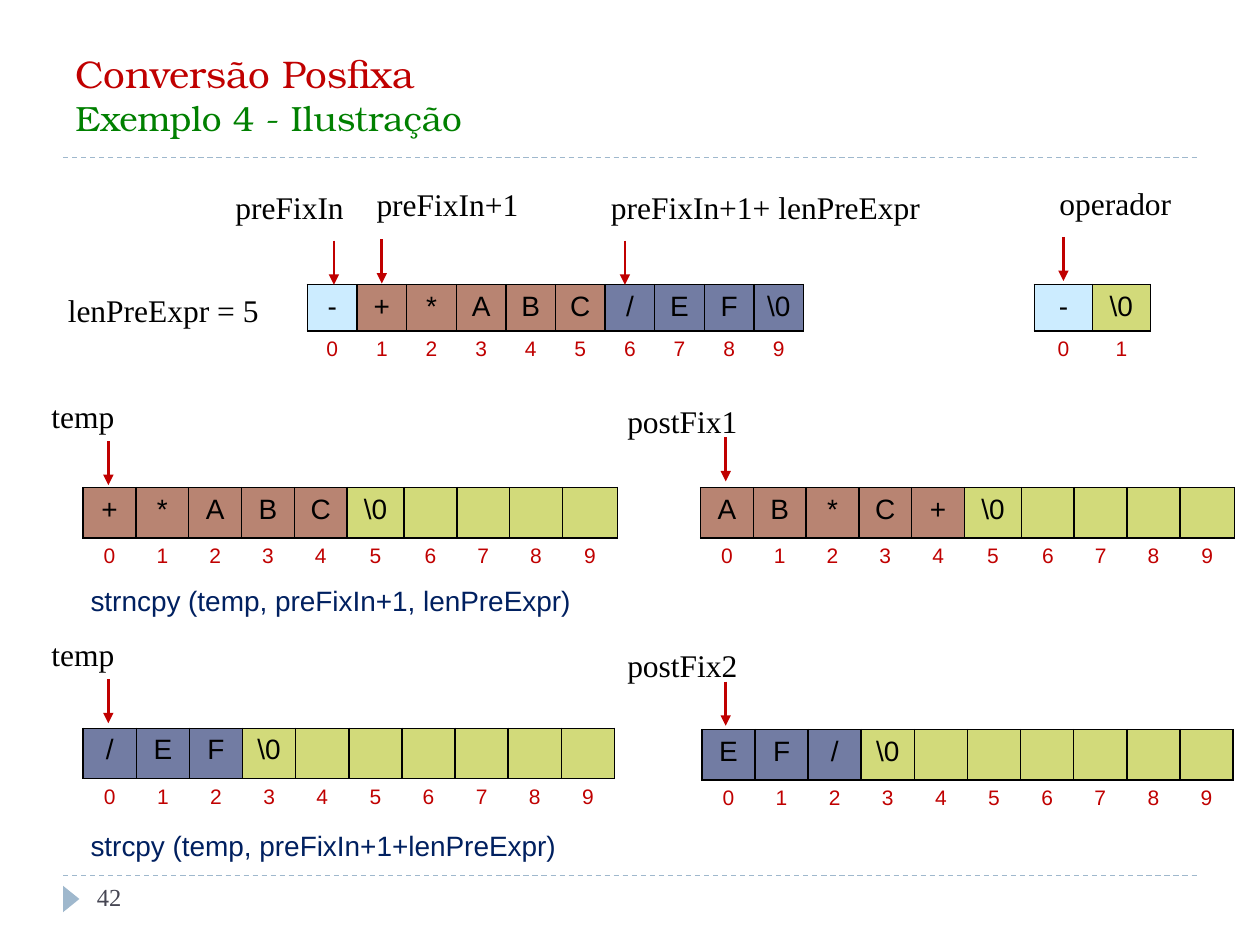
from dataclasses import dataclass
from typing import Any, NamedTuple

from lxml.etree import SubElement
from pptx import Presentation
from pptx.dml.color import RGBColor
from pptx.enum.dml import MSO_LINE_DASH_STYLE as Dash
from pptx.enum.shapes import MSO_CONNECTOR as Connector, MSO_SHAPE as Shape
from pptx.enum.text import MSO_ANCHOR as Anchor, PP_ALIGN as Align
from pptx.oxml import parse_xml
from pptx.oxml.ns import nsdecls, qn
from pptx.util import Inches, Pt

COLORS = {
    "black": "000000", "white": "FFFFFF", "red": "C00000", "green": "008000",
    "navy": "002060", "gray": "464653", "steel": "9FB8CD", "sky": "CCECFF",
    "clay": "B88472", "slate": "727CA3", "lime": "D2DA7A",
}
SERIF, SANS, TITLE = "Times New Roman", "Arial", "TeX Gyre Bonum"
WIDTH, HEIGHT = Inches(10), Inches(7.5)
GRID_COLUMNS, GRID_ROWS = 100, 75
ARROW_ROWS = 3.5
EVEN = (1,) * 10
STRETCHED = (1, 1, 1, 1, 1, 1.08, 1, 1, 1, 1.04)


class Label(NamedTuple):
    text: str
    column: float
    row: float
    columns: float
    rows: float = 4
    size: int = 18
    font: str = SERIF
    color: str = "black"


class Arrow(NamedTuple):
    column: float
    row: float


class Rule(NamedTuple):
    row: float


class Run(NamedTuple):
    color: str
    symbols: str
    blanks: int = 0


@dataclass(frozen=True)
class Array:
    column: float
    row: float
    columns: float
    rows: tuple[float, float]
    weights: tuple[float, ...]
    runs: tuple[Run, ...]


RULES = (Rule(69.5), Rule(12.5))
ARRAYS = (
    Array(24.4, 22.6, 39.4, (3.5, 2.8), EVEN,
          (Run("sky", "-"), Run("clay", "+ * A B C"), Run("slate", r"/ E F \0"))),
    Array(82.1, 22.6, 9.2, (3.6, 2.8), (1, 1),
          (Run("sky", "-"), Run("lime", r"\0"))),
    Array(6.6, 38.7, 42.4, (4, 3), STRETCHED,
          (Run("clay", "+ * A B C"), Run("lime", r"\0", 4))),
    Array(55.6, 38.7, 42.4, (4, 3), STRETCHED,
          (Run("clay", "A B * C +"), Run("lime", r"\0", 4))),
    Array(6.6, 57.8, 42.2, (4, 2.8), EVEN,
          (Run("slate", "/ E F"), Run("lime", r"\0", 6))),
    Array(55.7, 57.9, 42.2, (4, 2.8), EVEN,
          (Run("slate", "E F /"), Run("lime", r"\0", 6))),
)
LABELS = (
    Label("preFixIn", 17.7, 14.4, 10.7),
    Label("preFixIn+1", 28.9, 14.2, 13.4),
    Label("preFixIn+1+ lenPreExpr", 47.5, 14.4, 26.8),
    Label("operador", 83.1, 14.1, 11),
    Label("lenPreExpr = 5", 4.4, 22.6, 17.3),
    Label("temp", 3.1, 31, 7.1),
    Label("postFix1", 48.8, 31.4, 10.9),
    Label("temp", 3.1, 49.9, 7.1),
    Label("postFix2", 48.8, 50.8, 10.9),
    Label("strncpy (temp, preFixIn+1, lenPreExpr)", 6.2, 45.8, 41.1, 3.7, 16, SANS, "navy"),
    Label("strcpy (temp, preFixIn+1+lenPreExpr)", 6.2, 65.3, 41.1, 3.7, 16, SANS, "navy"),
    Label("42", 6.7, 69.5, 21.7, 4, 14, SERIF, "gray"),
)
ARROWS = (
    Arrow(26.5, 19.1), Arrow(30.3, 19), Arrow(49.6, 19.1), Arrow(84.4, 18.8),
    Arrow(8.6, 35), Arrow(57.6, 34.7), Arrow(8.6, 53.9), Arrow(57.6, 54.1),
)


def across(columns: float) -> int:
    return round(WIDTH * columns / GRID_COLUMNS)


def down(rows: float) -> int:
    return round(HEIGHT * rows / GRID_ROWS)


def rgb(color: str) -> RGBColor:
    return RGBColor.from_string(COLORS[color])


def apply_format(target: Any, values: dict[str, Any]) -> None:
    for name, value in values.items():
        setattr(target, name, value)


def write(para: Any, text: str, size: int, font: str, color: str) -> None:
    span = para.add_run()
    span.text = text
    apply_format(span.font, {"size": Pt(size), "name": font})
    span.font.color.rgb = rgb(color)


def draw_title(page: Any) -> None:
    box = page.shapes.add_textbox(across(5), down(2.5), across(90), down(10))
    apply_format(box.text_frame, {"word_wrap": True, "vertical_anchor": Anchor.MIDDLE})
    para = box.text_frame.paragraphs[0]
    write(para, "Conversão Posfixa", 22, TITLE, "red")
    para.add_line_break()
    write(para, "Exemplo 4 - Ilustração", 20, TITLE, "green")


def draw_label(page: Any, label: Label) -> None:
    box = page.shapes.add_textbox(across(label.column), down(label.row),
                                  across(label.columns), down(label.rows))
    box.text_frame.word_wrap = False
    write(box.text_frame.paragraphs[0], label.text, label.size, label.font, label.color)


def draw_line(page: Any, start: tuple[float, float], end: tuple[float, float],
              color: str, width: float) -> Any:
    line = page.shapes.add_connector(Connector.STRAIGHT, across(start[0]), down(start[1]),
                                     across(end[0]), down(end[1]))
    line.line.color.rgb = rgb(color)
    line.line.width = Pt(width)
    SubElement(line._element.spPr, qn("a:effectLst"))
    return line


def draw_rule(page: Any, rule: Rule) -> None:
    draw_line(page, (5, rule.row), (95, rule.row), "steel", 0.75).line.dash_style = Dash.DASH


def draw_arrow(page: Any, arrow: Arrow) -> None:
    line = draw_line(page, arrow, (arrow.column, arrow.row + ARROW_ROWS), "red", 1.5)
    SubElement(line.line._get_or_add_ln(), qn("a:tailEnd"), type="triangle")


def draw_marker(page: Any) -> None:
    marker = page.shapes.add_shape(Shape.ISOSCELES_TRIANGLE, across(4.6), down(70.7),
                                   across(2.1), down(1.3))
    marker.rotation = 90
    marker.shadow.inherit = False
    marker.fill.solid()
    marker.fill.fore_color.rgb = rgb("steel")
    marker.line.fill.background()


def set_borders(cell: Any, sides: str) -> None:
    properties = cell._tc.get_or_add_tcPr()
    for position, side in enumerate("LRTB"):
        paint = (f'<a:solidFill><a:srgbClr val="{COLORS["black"]}"/></a:solidFill>'
                 if side in sides else "<a:noFill/>")
        properties.insert(position, parse_xml(
            f'<a:ln{side} {nsdecls("a")} w="{Pt(1)}">{paint}</a:ln{side}>'))


def fill_cell(cell: Any, text: str, size: int, color: str, fill: str, sides: str) -> None:
    cell.fill.solid()
    cell.fill.fore_color.rgb = rgb(fill)
    set_borders(cell, sides)
    para = cell.text_frame.paragraphs[0]
    para.alignment = Align.CENTER
    if text:
        write(para, text, size, SANS, color)


def draw_array(page: Any, array: Array) -> None:
    table = page.shapes.add_table(2, len(array.weights), across(array.column), down(array.row),
                                  across(array.columns), down(sum(array.rows))).table
    apply_format(table, {"first_row": False, "horz_banding": False})
    for line, rows in zip(table.rows, array.rows):
        line.height = down(rows)
    for column, weight in zip(table.columns, array.weights):
        column.width = across(array.columns * weight / sum(array.weights))
    slots = [(symbol, run.color) for run in array.runs
             for symbol in run.symbols.split() + [""] * run.blanks]
    for index, (symbol, fill) in enumerate(slots):
        fill_cell(table.cell(0, index), symbol, 16, "black", fill, "LRTB")
        fill_cell(table.cell(1, index), str(index), 12, "red", "white", "T")


def main() -> None:
    deck = Presentation()
    apply_format(deck, {"slide_width": WIDTH, "slide_height": HEIGHT})
    page = deck.slides.add_slide(deck.slide_layouts[6])
    draw_title(page)
    draw_marker(page)
    for draw, items in ((draw_rule, RULES), (draw_array, ARRAYS),
                        (draw_label, LABELS), (draw_arrow, ARROWS)):
        for item in items:
            draw(page, item)
    deck.save("out.pptx")


if __name__ == "__main__":
    main()
